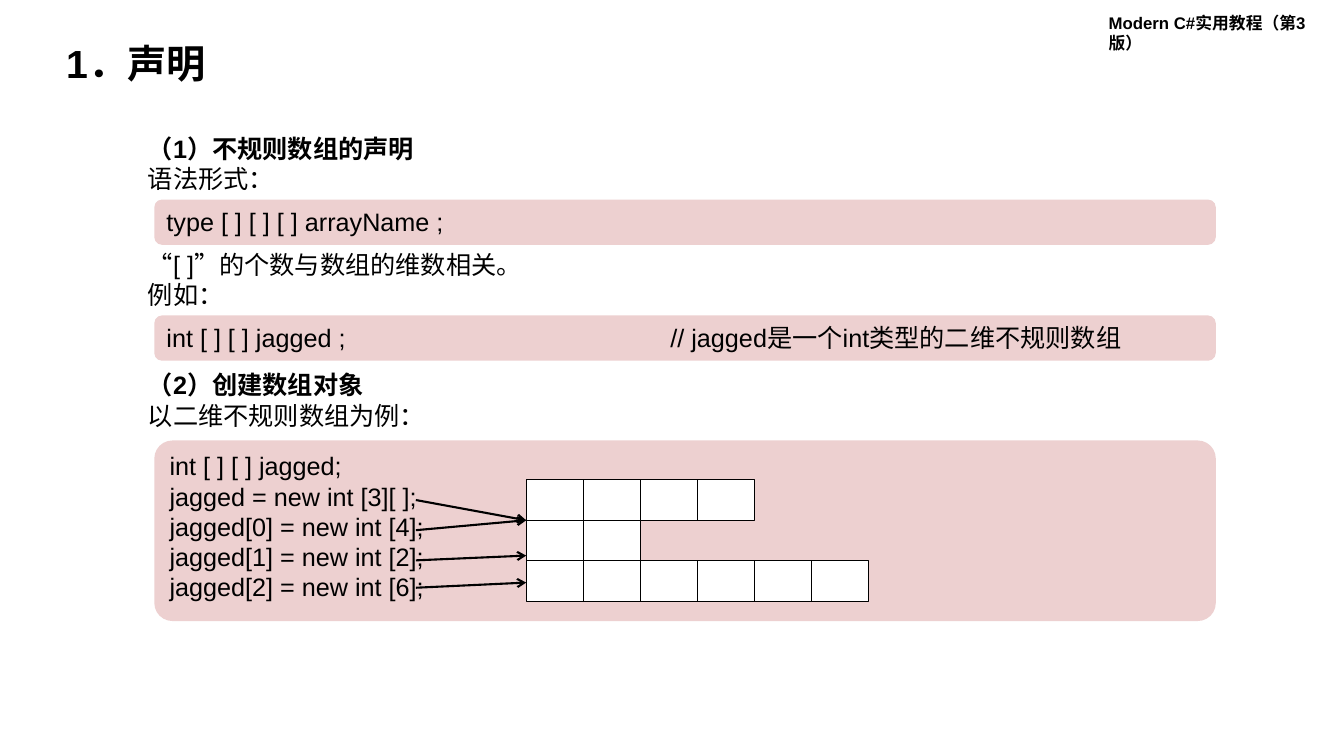
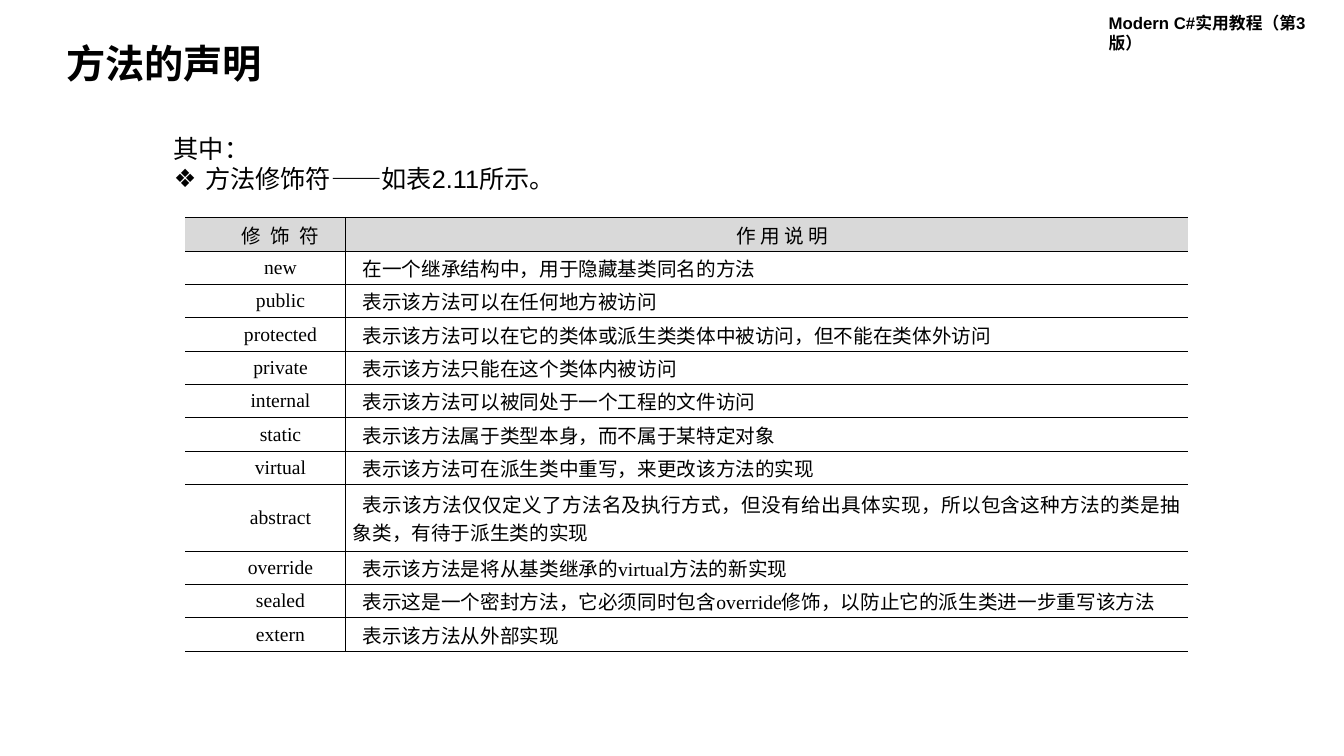
import pptx
import pptx.dml.color
import pptx.enum.shapes
import pptx.enum.text
import pptx.oxml.ns
import pptx.util
from lxml import etree

Cm, Pt = pptx.util.Cm, pptx.util.Pt
RGBColor = pptx.dml.color.RGBColor
MSO_SHAPE = pptx.enum.shapes.MSO_SHAPE
ANCHOR = pptx.enum.text.MSO_ANCHOR
ALIGN = pptx.enum.text.PP_ALIGN
qn = pptx.oxml.ns.qn

# Shared style
BLACK = RGBColor(0x00, 0x00, 0x00)
WHITE = RGBColor(0xFF, 0xFF, 0xFF)
PINK = RGBColor(0xED, 0xD0, 0xD0)
GREY = RGBColor(0xD9, 0xD9, 0xD9)
SANS, SERIF = "Arial", "Times New Roman"
BODY = 18
BOOK = "Modern C#实用教程（第3版）"

# Slide 1: (top, lines, first line is a heading)
DECLARE_TITLE = "1．声明"
NOTES = [
    (3.23, ["（1）不规则数组的声明", "语法形式："], True),
    (6.15, ["“[ ]”的个数与数组的维数相关。", "例如："], False),
    (9.19, ["（2）创建数组对象", "以二维不规则数组为例："], True),
]
# (top, height, corner, lines)
CODE_BOXES = [
    (5.03, 1.14, 0.17, ["type [ ] [ ] [ ] arrayName ;"]),
    (7.95, 1.14, 0.17, ["int [ ] [ ] jagged ;\t// jagged是一个int类型的二维不规则数组"]),
    (11.1, 4.55, 0.1, [
        "int [ ] [ ] jagged;",
        "jagged = new int [3][ ];",
        "jagged[0] = new int [4];",
        "jagged[1] = new int [2];",
        "jagged[2] = new int [6];",
    ]),
]
COMMENT_TAB = 12.7
ROW_LENGTHS = [4, 2, 6]
GRID_LEFT, GRID_TOP, CELL_W, CELL_H = 13.26, 12.09, 1.44, 1.02
ARROW_LEFT = 10.48
ARROWS = [(12.6, 13.11), (13.36, 13.11), (14.12, 14.0), (14.81, 14.68)]

# Slide 2
METHOD_TITLE = "方法的声明"
METHOD_INTRO = ["其中：", "方法修饰符——如表2.11所示。"]
MODIFIERS = [
    ("修 饰 符", "作 用 说 明"),
    ("new", "在一个继承结构中，用于隐藏基类同名的方法"),
    ("public", "表示该方法可以在任何地方被访问"),
    ("protected", "表示该方法可以在它的类体或派生类类体中被访问，但不能在类体外访问"),
    ("private", "表示该方法只能在这个类体内被访问"),
    ("internal", "表示该方法可以被同处于一个工程的文件访问"),
    ("static", "表示该方法属于类型本身，而不属于某特定对象"),
    ("virtual", "表示该方法可在派生类中重写，来更改该方法的实现"),
    ("abstract", "表示该方法仅仅定义了方法名及执行方式，但没有给出具体实现，"
                 "所以包含这种方法的类是抽象类，有待于派生类的实现"),
    ("override", "表示该方法是将从基类继承的virtual方法的新实现"),
    ("sealed", "表示这是一个密封方法，它必须同时包含override修饰，以防止它的派生类进一步重写该方法"),
    ("extern", "表示该方法从外部实现"),
]
COL_WIDTHS = [4.04, 21.23]
ROW_H = 0.84
TALL_ROW = "abstract"


def style(p, size, bold=False, font=SANS):
    p.font.name, p.font.size, p.font.bold = font, Pt(size), bold
    p.font.color.rgb = BLACK


def write(tf, lines, size=BODY, bold_first=False):
    tf.word_wrap = True
    for i, line in enumerate(lines):
        p = tf.paragraphs[0] if i == 0 else tf.add_paragraph()
        p.add_run().text = line
        p.alignment = ALIGN.LEFT
        style(p, size, bold_first and i == 0)
    return tf


def add_text(s, x, y, w, h, lines, size=BODY, bold_first=False):
    sp = s.shapes.add_textbox(Cm(x), Cm(y), Cm(w), Cm(h))
    return write(sp.text_frame, lines, size, bold_first)


def add_box(s, kind, x, y, w, h, fill):
    sp = s.shapes.add_shape(kind, Cm(x), Cm(y), Cm(w), Cm(h))
    sp.shadow.inherit = False
    sp.fill.solid()
    sp.fill.fore_color.rgb = fill
    return sp


def set_line(line, width):
    line.color.rgb = BLACK
    line.width = Pt(width)


def add_line(s, x1, y1, x2, y2, width, arrow=False):
    c = s.shapes.add_connector(pptx.enum.shapes.MSO_CONNECTOR.STRAIGHT,
                               Cm(x1), Cm(y1), Cm(x2), Cm(y2))
    set_line(c.line, width)
    if arrow:
        etree.SubElement(c.line._get_or_add_ln(), qn("a:tailEnd"), type="arrow")
    etree.SubElement(c._element.spPr, qn("a:effectLst"))


def new_slide(prs, title):
    s = prs.slides.add_slide(prs.slide_layouts[6])
    add_text(s, 27.69, 0.2, 6.2, 0.76, [BOOK], 12, True)
    tf = add_text(s, 1.42, 0.99, 11.66, 1.32, [title], 28, True)
    tf.vertical_anchor = ANCHOR.MIDDLE
    tf.paragraphs[0].line_spacing = 0.9
    return s


def set_borders(cell, sides):
    tcPr = cell._tc.get_or_add_tcPr()
    for side in "LRTB":
        ln = etree.SubElement(tcPr, qn("a:ln" + side), w=str(Pt(1)))
        if side in sides:
            fill = etree.SubElement(ln, qn("a:solidFill"))
            etree.SubElement(fill, qn("a:srgbClr"), val=str(BLACK))
        else:
            etree.SubElement(ln, qn("a:noFill"))


def build_declaration(prs):
    s = new_slide(prs, DECLARE_TITLE)
    for top, lines, heading in NOTES:
        add_text(s, 3.48, top, 16.94, 1.8, lines, bold_first=heading)

    # Code boxes
    for top, height, corner, lines in CODE_BOXES:
        sp = add_box(s, MSO_SHAPE.ROUNDED_RECTANGLE, 3.89, top, 26.75, height, PINK)
        sp.adjustments[0] = corner
        sp.line.fill.background()
        tf = sp.text_frame
        tf.vertical_anchor = ANCHOR.TOP
        if "\t" in lines[0]:
            tabs = etree.SubElement(tf.paragraphs[0]._p.get_or_add_pPr(), qn("a:tabLst"))
            etree.SubElement(tabs, qn("a:tab"), pos=str(Cm(COMMENT_TAB)), algn="l")
        write(tf, lines)

    # Jagged array rows with cell dividers
    for i, count in enumerate(ROW_LENGTHS):
        top = GRID_TOP + i * CELL_H
        sp = add_box(s, MSO_SHAPE.RECTANGLE, GRID_LEFT, top, count * CELL_W, CELL_H, WHITE)
        set_line(sp.line, 0.75)
        for k in range(1, count):
            x = GRID_LEFT + k * CELL_W
            add_line(s, x, top, x, top + CELL_H, 0.75)

    # Arrows from code lines to array rows
    for y1, y2 in ARROWS:
        add_line(s, ARROW_LEFT, y1, GRID_LEFT, y2, 1.5, arrow=True)


def build_methods(prs):
    s = new_slide(prs, METHOD_TITLE)
    tf = add_text(s, 4.13, 3.23, 16.94, 1.8, METHOD_INTRO)
    pPr = tf.paragraphs[1]._p.get_or_add_pPr()
    pPr.set("marL", str(Cm(0.79)))
    pPr.set("indent", str(-Cm(0.79)))
    pPr.insert(0, etree.Element(qn("a:buFont"), typeface=SANS))
    pPr.insert(1, etree.Element(qn("a:buChar"), char="❖"))

    # Modifier table
    frame = s.shapes.add_table(len(MODIFIERS), 2, Cm(4.67), Cm(5.49),
                               Cm(sum(COL_WIDTHS)), Cm(ROW_H * (len(MODIFIERS) + 1)))
    table = frame.table
    table.first_row = table.horz_banding = False
    for col, width in zip(table.columns, COL_WIDTHS):
        col.width = Cm(width)
    for r, texts in enumerate(MODIFIERS):
        table.rows[r].height = Cm(ROW_H * (2 if texts[0] == TALL_ROW else 1))
        for c, text in enumerate(texts):
            cell = table.cell(r, c)
            cell.vertical_anchor = ANCHOR.MIDDLE
            cell.margin_left = cell.margin_right = Cm(0.18)
            cell.margin_top = cell.margin_bottom = 0
            set_borders(cell, "RTB" if c == 0 else "LTB")
            if r == 0:
                cell.fill.solid()
                cell.fill.fore_color.rgb = GREY
            else:
                cell.fill.background()
            p = cell.text_frame.paragraphs[0]
            run = p.add_run()
            run.text = text
            centred = r == 0 or c == 0
            p.alignment = ALIGN.CENTER if centred else ALIGN.JUSTIFY
            p._p.get_or_add_pPr().set("indent", str(Cm(0.76 if centred else 0.25)))
            style(p, 14, font=SERIF)
            if r == c == 0:
                run._r.get_or_add_rPr().set("spc", "175")


def main():
    prs = pptx.Presentation()
    prs.slide_width, prs.slide_height = Cm(33.87), Cm(19.05)
    build_declaration(prs)
    build_methods(prs)
    prs.save("out.pptx")


if __name__ == "__main__":
    main()
